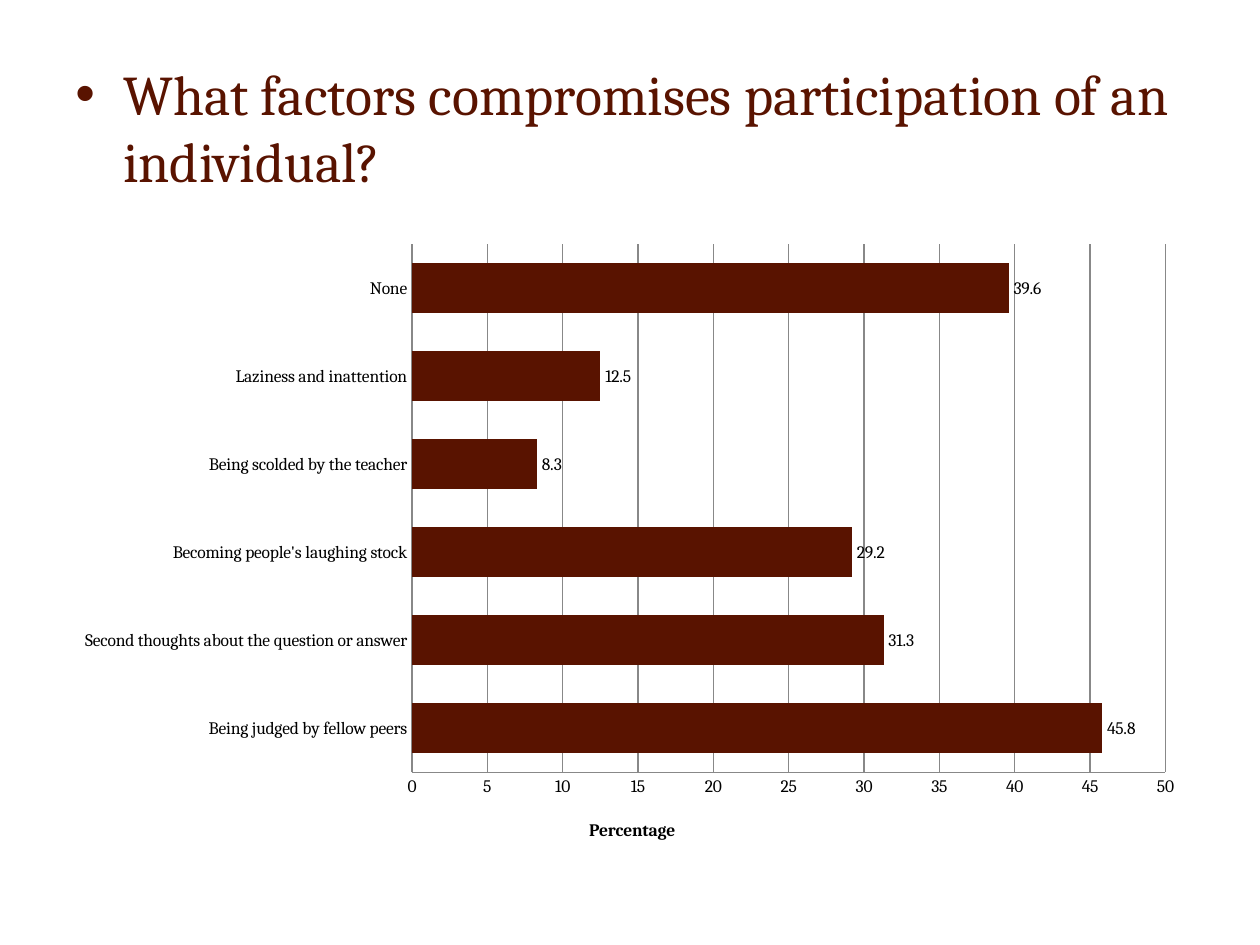
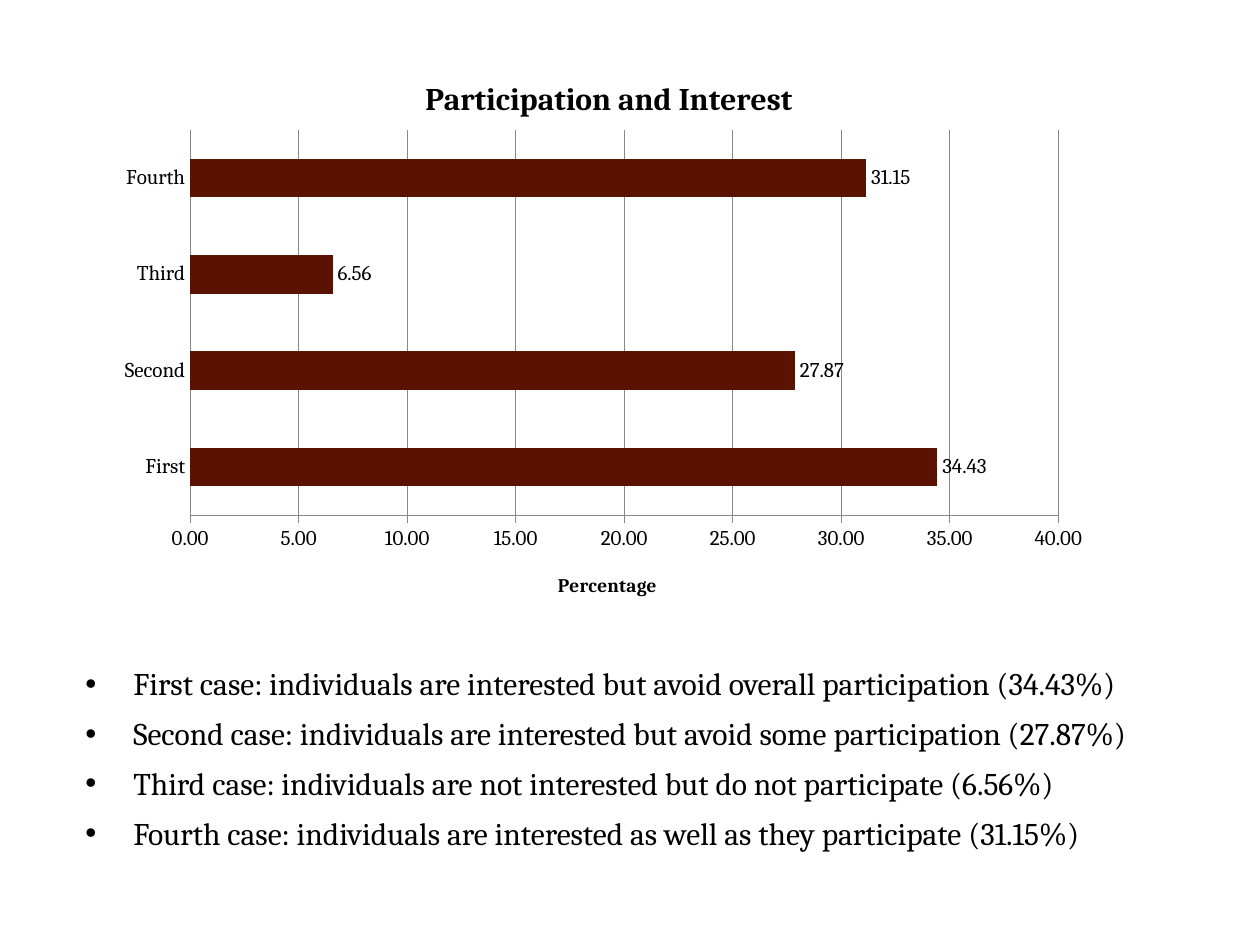
from dataclasses import dataclass

from lxml import etree
from pptx import Presentation
from pptx import util as u
from pptx.chart import data as chart_data
from pptx.dml.color import RGBColor
from pptx.enum import chart as charts
from pptx.oxml import ns

FONT = "Cambria"
MAROON = RGBColor(0x59, 0x13, 0x00)
BLACK = RGBColor(0, 0, 0)
GRAY = RGBColor(0x88, 0x88, 0x88)
INDENT = u.Inches(0.38)


@dataclass
class Box:
    """A place on the slide in inches."""

    left: float
    top: float
    width: float
    height: float

    def lengths(self) -> tuple:
        """Return the four lengths for python-pptx."""
        return tuple(u.Inches(n) for n in (self.left, self.top, self.width, self.height))


@dataclass
class BarChart:
    """A horizontal bar chart; inner places are absolute on the slide."""

    box: Box
    plot: Box
    values: dict[str, float]
    maximum: float
    gap: int
    overlap: int
    label_size: float
    number_format: str
    tick_mark: charts.XL_TICK_MARK
    axis_title_size: float
    axis_title_at: tuple[float, float]
    title: str = ""
    title_at: tuple[float, float] = (0, 0)


def write_text(paragraph, text: str, *, size: float, color: RGBColor = BLACK,
               bold: bool = False) -> None:
    """Write one formatted run into a paragraph."""
    run = paragraph.add_run()
    run.text = text
    style_font(run.font, size, color, bold)


def style_font(font, size: float, color: RGBColor = BLACK, bold: bool = False) -> None:
    """Set the shared typeface with a size, colour and weight."""
    font.name, font.size, font.bold = FONT, u.Pt(size), bold
    font.color.rgb = color


def add_bullets(slide, box: Box, items: list[str], *, size: float,
                color: RGBColor = BLACK, line_spacing: float = 1.0) -> None:
    """Add a text box of bulleted paragraphs with hanging indents."""
    frame = slide.shapes.add_textbox(*box.lengths()).text_frame
    frame.word_wrap = True
    for index, item in enumerate(items):
        paragraph = frame.paragraphs[0] if index == 0 else frame.add_paragraph()
        paragraph.line_spacing = line_spacing
        paragraph.space_before = u.Pt(size * 0.2)
        properties = paragraph._p.get_or_add_pPr()
        properties.set("marL", str(INDENT))
        properties.set("indent", str(-INDENT))
        etree.SubElement(properties, ns.qn("a:buFont"), typeface="Arial")
        etree.SubElement(properties, ns.qn("a:buChar"), char="•")
        write_text(paragraph, item, size=size, color=color)


def set_layout(element, position: int, settings: dict[str, object]) -> None:
    """Give a chart element a manual layout."""
    layout = element.find(ns.qn("c:layout"))
    if layout is None:
        layout = etree.Element(ns.qn("c:layout"))
        element.insert(position, layout)
    manual = etree.SubElement(layout, ns.qn("c:manualLayout"))
    for name, value in settings.items():
        etree.SubElement(manual, ns.qn(f"c:{name}"), val=str(value))


def place_title(title, text: str, size: float, at: tuple[float, float], box: Box) -> None:
    """Write a bold title at a place on the slide."""
    write_text(title.text_frame.paragraphs[0], text, size=size, bold=True)
    set_layout(title._element, 1, {
        "xMode": "edge", "yMode": "edge",
        "x": (at[0] - box.left) / box.width,
        "y": (at[1] - box.top) / box.height,
    })


def style_line(line) -> None:
    """Apply the thin gray line of axes and gridlines."""
    line.color.rgb = GRAY
    line.width = u.Pt(0.75)


def add_bar_chart(slide, spec: BarChart) -> None:
    """Draw a bar chart with value labels and a percentage axis."""
    contents = chart_data.CategoryChartData()
    contents.categories = list(spec.values)
    contents.add_series("Series 1", list(spec.values.values()))
    chart = slide.shapes.add_chart(
        charts.XL_CHART_TYPE.BAR_CLUSTERED, *spec.box.lengths(), contents).chart
    style_font(chart.font, 10)
    chart.has_legend = False
    chart.has_title = bool(spec.title)
    if spec.title:
        place_title(chart.chart_title, spec.title, 18, spec.title_at, spec.box)

    plot = chart.plots[0]
    plot.gap_width, plot.overlap = spec.gap, spec.overlap
    plot.vary_by_categories = False
    fill = plot.series[0].format.fill
    fill.solid()
    fill.fore_color.rgb = MAROON
    plot.has_data_labels = True
    labels = plot.data_labels
    labels.show_value = True
    labels.position = charts.XL_LABEL_POSITION.OUTSIDE_END
    labels.number_format, labels.number_format_is_linked = spec.number_format, False
    style_font(labels.font, spec.label_size)

    category_axis, value_axis = chart.category_axis, chart.value_axis
    for axis in (category_axis, value_axis):
        axis.minor_tick_mark = charts.XL_TICK_MARK.NONE
        style_line(axis.format.line)
        style_font(axis.tick_labels.font, spec.label_size)
    category_axis.major_tick_mark = charts.XL_TICK_MARK.NONE
    category_axis.has_major_gridlines = False
    value_axis.major_tick_mark = spec.tick_mark
    value_axis.minimum_scale, value_axis.maximum_scale = 0, spec.maximum
    value_axis.major_unit = 5
    value_axis.tick_labels.number_format = spec.number_format
    value_axis.tick_labels.number_format_is_linked = False
    value_axis.has_major_gridlines = True
    style_line(value_axis.major_gridlines.format.line)
    place_title(value_axis.axis_title, "Percentage", spec.axis_title_size,
                spec.axis_title_at, spec.box)

    box, area = spec.box, spec.plot
    set_layout(chart._chartSpace.find(".//" + ns.qn("c:plotArea")), 0, {
        "layoutTarget": "inner", "xMode": "edge", "yMode": "edge",
        "x": (area.left - box.left) / box.width,
        "y": (area.top - box.top) / box.height,
        "w": area.width / box.width,
        "h": area.height / box.height,
    })


FACTORS = BarChart(
    box=Box(0.5, 1.83, 9, 5), plot=Box(3.27, 1.94, 5.98, 4.19),
    values={
        "Being judged by fellow peers": 45.8,
        "Second thoughts about the question or answer": 31.3,
        "Becoming people's laughing stock": 29.2,
        "Being scolded by the teacher": 8.3,
        "Laziness and inattention": 12.5,
        "None": 39.6,
    },
    maximum=50, gap=75, overlap=0, label_size=10, number_format="General",
    tick_mark=charts.XL_TICK_MARK.NONE, axis_title_size=10, axis_title_at=(4.65, 6.47),
)
INTEREST = BarChart(
    box=Box(0.83, 0.36, 7.92, 4.56), plot=Box(1.51, 1.03, 6.89, 3.06),
    values={"First": 34.43, "Second": 27.87, "Third": 6.56, "Fourth": 31.15},
    maximum=40, gap=150, overlap=-25, label_size=12, number_format="0.00",
    tick_mark=charts.XL_TICK_MARK.OUTSIDE, axis_title_size=11, axis_title_at=(4.4, 4.51),
    title="Participation and Interest", title_at=(3.33, 0.57),
)
CASES = [
    "First case: individuals are interested but avoid overall participation (34.43%)",
    "Second case: individuals are interested but avoid some participation (27.87%)",
    "Third case: individuals are not interested but do not participate (6.56%)",
    "Fourth case: individuals are interested as well as they participate (31.15%)",
]


def main() -> None:
    """Build the two survey slides."""
    presentation = Presentation()
    presentation.slide_width, presentation.slide_height = u.Inches(10), u.Inches(7.5)
    blank = presentation.slide_layouts[6]

    factors_slide = presentation.slides.add_slide(blank)
    add_bullets(factors_slide, Box(0.5, 0.42, 9, 1.25),
                ["What factors compromises participation of an individual?"],
                size=32, color=MAROON)
    add_bar_chart(factors_slide, FACTORS)

    interest_slide = presentation.slides.add_slide(blank)
    add_bullets(interest_slide, Box(0.58, 5.18, 8.83, 2), CASES, size=18, line_spacing=1.15)
    add_bar_chart(interest_slide, INTEREST)

    presentation.save("out.pptx")


if __name__ == "__main__":
    main()
